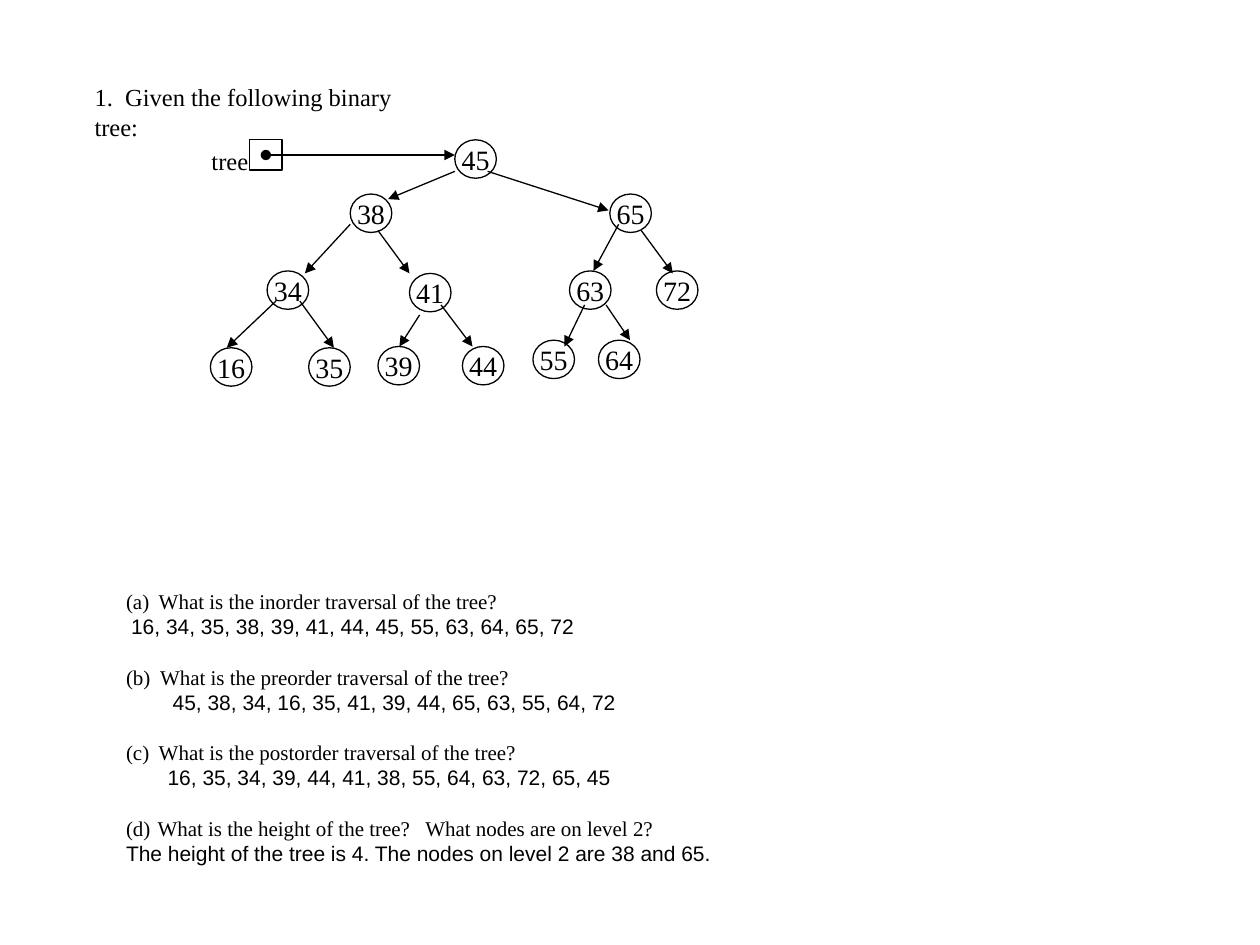
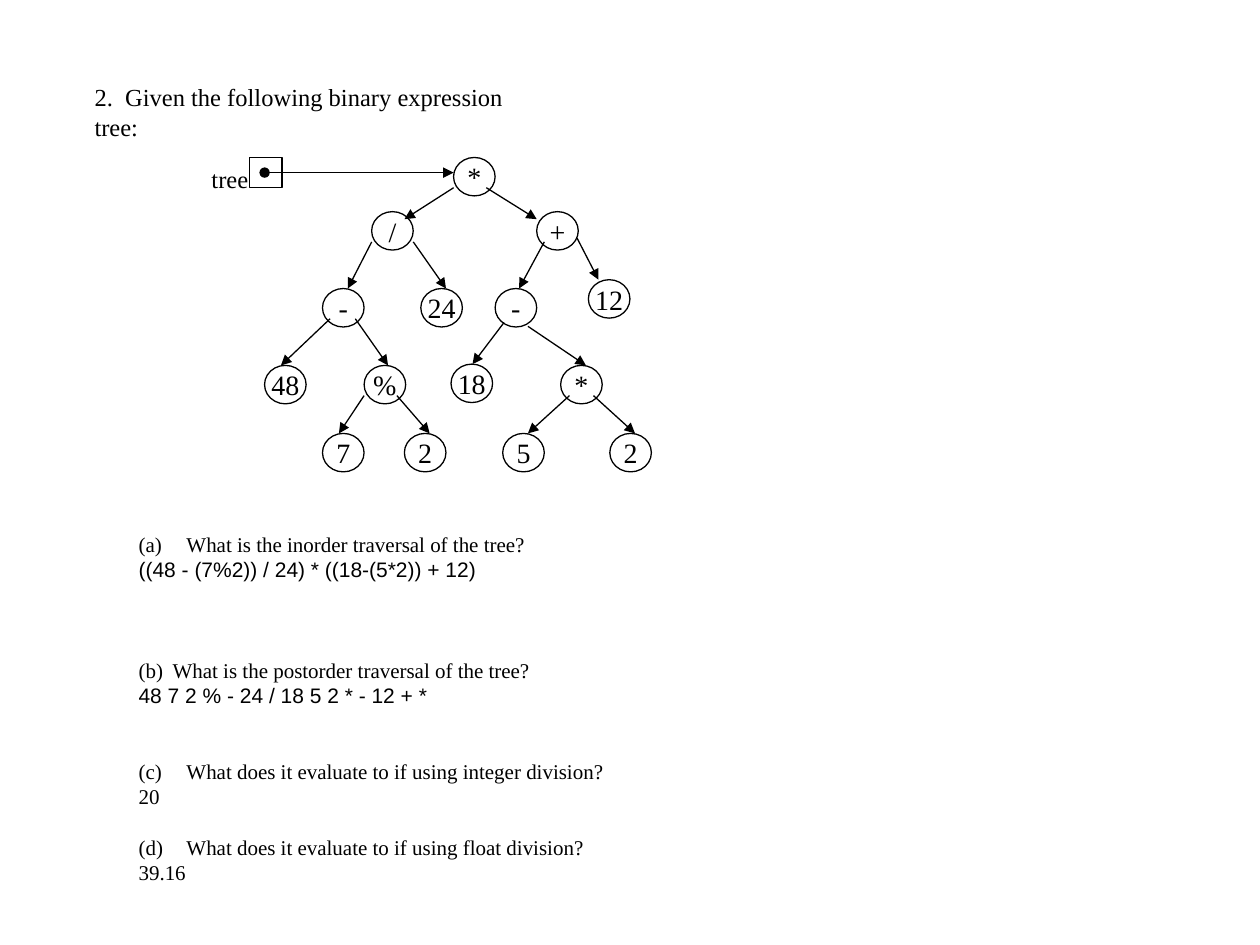
import lxml.etree
import pptx
import pptx.dml.color
import pptx.enum.shapes
import pptx.enum.text
import pptx.oxml.ns
import pptx.util

BLACK = pptx.dml.color.RGBColor(0x00, 0x00, 0x00)
SERIF, SANS = "Times New Roman", "Arial"
COLUMNS, ROWS = 100, 75
SLIDE_WIDTH, SLIDE_HEIGHT = pptx.util.Inches(10), pptx.util.Inches(7.5)
NODE_WIDTH, NODE_HEIGHT = 3.3, 3.05
LINE_PITCH = 14.4

# Each node: label, left, top, then the start and end of the arrow into it,
# in columns and rows from the corner of the tree's box.
SEARCH_TREE = [
    ("45", 21.1, 0.1, (6.1, 1.3), (21.1, 1.3)),
    ("38", 12.8, 4.4, (21.1, 2.6), (15.8, 4.8)),
    ("65", 33.4, 4.4, (23.7, 2.6), (33.3, 5.7)),
    ("34", 6.2, 10.5, (12.8, 6.8), (9.2, 10.7)),
    ("41", 17.5, 10.7, (15, 7.3), (17.5, 10.7)),
    ("63", 30.2, 10.5, (34.1, 6.8), (32.1, 10.5)),
    ("72", 37.1, 10.5, (35.9, 7.3), (38.4, 10.7)),
    ("16", 1.7, 16.6, (6.9, 12.9), (3, 16.6)),
    ("35", 9.5, 16.6, (8.8, 12.9), (11.5, 16.6)),
    ("39", 15, 16.5, (18.3, 14), (16.7, 16.5)),
    ("44", 21.7, 16.5, (20, 13.2), (22.5, 16.5)),
    ("55", 27.3, 16, (31.4, 13.2), (29.8, 16.5)),
    ("64", 32.5, 16, (33.1, 13.2), (35, 16)),
]
EXPRESSION_TREE = [
    ("*", 21, 0.1, (6, 1.3), (21, 1.3)),
    ("/", 14.5, 4.4, (21, 2.5), (17.1, 5)),
    ("+", 27.6, 4.4, (23.6, 2.5), (27.6, 5)),
    ("-", 10.6, 10.5, (14.5, 6.8), (12.6, 10.5)),
    ("24", 18.4, 10.5, (17.8, 6.8), (20.4, 10.5)),
    ("-", 24.3, 10.5, (28.2, 6.8), (26.2, 10.5)),
    ("12", 31.7, 9.8, (30.8, 6.5), (32.5, 9.8)),
    ("48", 6, 16.6, (11.2, 12.9), (7.3, 16.6)),
    ("%", 13.9, 16.6, (13.2, 12.9), (15.8, 16.6)),
    ("18", 20.8, 16.5, (25, 13.2), (22.5, 16.5)),
    ("*", 29.5, 16.6, (26.9, 13.5), (31.5, 16.6)),
    ("7", 10.6, 22, (13.9, 19), (11.9, 22)),
    ("2", 17.1, 22, (16.5, 19), (19.1, 22)),
    ("5", 24.9, 22, (30.2, 19), (26.9, 22)),
    ("2", 33.4, 22, (32.1, 19), (35.4, 22)),
]

# Each question: text, its hanging indent in columns, blank lines above it,
# answer, the answer's indent in columns, and the answer's font.
SEARCH_QUESTIONS = [
    ("What is the inorder traversal of the tree?", 2.6, 0,
     "16, 34, 35, 38, 39, 41, 44, 45, 55, 63, 64, 65, 72", 0.4, SANS),
    ("What is the preorder traversal of the tree?", 2.7, 1,
     "45, 38, 34, 16, 35, 41, 39, 44, 65, 63, 55, 64, 72", 3.7, SANS),
    ("What is the postorder traversal of the tree?", 2.6, 1,
     "16, 35, 34, 39, 44, 41, 38, 55, 64, 63, 72, 65, 45", 3.3, SANS),
    ("What is the height of the tree?   What nodes are on level 2?", 2.5, 1,
     "The height of the tree is 4. The nodes on level 2 are 38 and 65.", 0, SANS),
]
EXPRESSION_QUESTIONS = [
    ("What is the inorder traversal of the tree?", 3.8, 0,
     "((48 - (7%2)) / 24) * ((18-(5*2)) + 12)", 0, SANS),
    ("What is the postorder traversal of the tree?", 2.7, 3,
     "48 7 2 % - 24 / 18 5 2 * - 12 + *", 0, SANS),
    ("What does it evaluate to if using integer division?", 3.8, 2, "20", 0, SERIF),
    ("What does it evaluate to if using float division?", 3.8, 1, "39.16", 0, SERIF),
]


def across(columns):
    return round(columns * SLIDE_WIDTH / COLUMNS)


def down(rows):
    return round(rows * SLIDE_HEIGHT / ROWS)


def frame(left, top, width, height):
    return across(left), down(top), across(width), down(height)


def place(placeholder, box):
    placeholder.left, placeholder.top, placeholder.width, placeholder.height = frame(*box)
    text = placeholder.text_frame
    text.word_wrap = True
    text.auto_size = pptx.enum.text.MSO_AUTO_SIZE.NONE
    text.vertical_anchor = pptx.enum.text.MSO_ANCHOR.TOP
    return text


def style(paragraph, size, font=SERIF, align=pptx.enum.text.PP_ALIGN.LEFT):
    paragraph.font.name = font
    paragraph.font.size = pptx.util.Pt(size)
    paragraph.font.color.rgb = BLACK
    paragraph.alignment = align


def outline(shapes, preset, box):
    shape = shapes.add_shape(preset, *frame(*box))
    shape.shadow.inherit = False
    shape.fill.background()
    shape.line.color.rgb = BLACK
    shape.line.width = pptx.util.Pt(0.75)
    return shape


def add_arrow(shapes, start, end, head=None):
    arrow = shapes.add_connector(
        pptx.enum.shapes.MSO_CONNECTOR.STRAIGHT,
        across(start[0]), down(start[1]), across(end[0]), down(end[1]))
    arrow.line.color.rgb = BLACK
    arrow.line.width = pptx.util.Pt(0.75)
    line = arrow.line._get_or_add_ln()
    for tag, kind in (("a:headEnd", head), ("a:tailEnd", "triangle")):
        if kind:
            lxml.etree.SubElement(line, pptx.oxml.ns.qn(tag), type=kind)
    lxml.etree.SubElement(arrow._element.spPr, pptx.oxml.ns.qn("a:effectLst"))


def add_node(shapes, label, left, top):
    node = outline(shapes, pptx.enum.shapes.MSO_SHAPE.OVAL,
                   (left, top, NODE_WIDTH, NODE_HEIGHT))
    text = node.text_frame
    text.word_wrap = False
    text.margin_left = text.margin_right = text.margin_top = text.margin_bottom = 0
    text.vertical_anchor = pptx.enum.text.MSO_ANCHOR.MIDDLE
    text.text = label
    style(text.paragraphs[0], 16, align=pptx.enum.text.PP_ALIGN.CENTER)


def add_root_pointer(shapes, left, top):
    outline(shapes, pptx.enum.shapes.MSO_SHAPE.RECTANGLE, (left + 4.8, top + 0.1, 2.6, 2.4))
    caption = shapes.add_textbox(*frame(left + 0.8, top + 0.1, 4.9, 3.3)).text_frame
    caption.word_wrap = False
    caption.text = "tree"
    style(caption.paragraphs[0], 14)


def draw_tree(shapes, nodes, left, top):
    add_root_pointer(shapes, left, top)
    for index, (label, x, y, start, end) in enumerate(nodes):
        add_node(shapes, label, left + x, top + y)
        add_arrow(shapes, (left + start[0], top + start[1]), (left + end[0], top + end[1]),
                  head="oval" if index == 0 else None)


def format_item(paragraph, wording, font, indent, blank_lines=0, number=None):
    """Numbered items hang by the indent; plain ones start at it."""
    paragraph.text = wording
    style(paragraph, 12, font)
    paragraph.line_spacing = pptx.util.Pt(LINE_PITCH)
    paragraph.space_before = pptx.util.Pt(LINE_PITCH * blank_lines)
    properties = paragraph._p.get_or_add_pPr()
    properties.set("marL", str(across(indent)))
    properties.set("indent", str(-across(indent) if number else 0))
    if number:
        bullet_font = lxml.etree.Element(pptx.oxml.ns.qn("a:buFont"), typeface=SERIF)
        bullet = lxml.etree.Element(pptx.oxml.ns.qn("a:buAutoNum"),
                                    type="alphaLcParenBoth", startAt=str(number))
        bullets = [bullet_font, bullet]
    else:
        bullets = [lxml.etree.Element(pptx.oxml.ns.qn("a:buNone"))]
    position = len(properties.findall(pptx.oxml.ns.qn("a:lnSpc"))
                   + properties.findall(pptx.oxml.ns.qn("a:spcBef")))
    properties[position:position] = bullets


def fill_questions(placeholder, questions, box):
    text = place(placeholder, box)
    for number, (question, hang, blanks, answer, indent, font) in enumerate(questions, 1):
        item = text.paragraphs[0] if number == 1 else text.add_paragraph()
        format_item(item, question, SERIF, hang, blanks, number)
        format_item(text.add_paragraph(), answer, font, indent)


def fill_heading(placeholder, wording, box):
    text = place(placeholder, box)
    text.text = wording
    style(text.paragraphs[0], 14)
    text.paragraphs[0].line_spacing = pptx.util.Pt(17)


def add_exercise(deck, heading, heading_width, nodes, tree_top, questions, questions_box):
    slide = deck.slides.add_slide(deck.slide_layouts[1])
    fill_heading(slide.shapes.title, heading, (6.5, 6, heading_width, 5.8))
    fill_questions(slide.placeholders[1], questions, questions_box)
    draw_tree(slide.shapes, nodes, 15, tree_top)


def main():
    deck = pptx.Presentation()
    deck.slide_width, deck.slide_height = SLIDE_WIDTH, SLIDE_HEIGHT
    add_exercise(deck, "1.  Given the following binary tree:", 29.5,
                 SEARCH_TREE, 11, SEARCH_QUESTIONS, (9, 46.2, 50, 23.2))
    add_exercise(deck, "2.  Given the following binary expression tree:", 38.3,
                 EXPRESSION_TREE, 12.4, EXPRESSION_QUESTIONS, (10, 41.7, 39.4, 33.3))
    deck.save("out.pptx")


if __name__ == "__main__":
    main()
